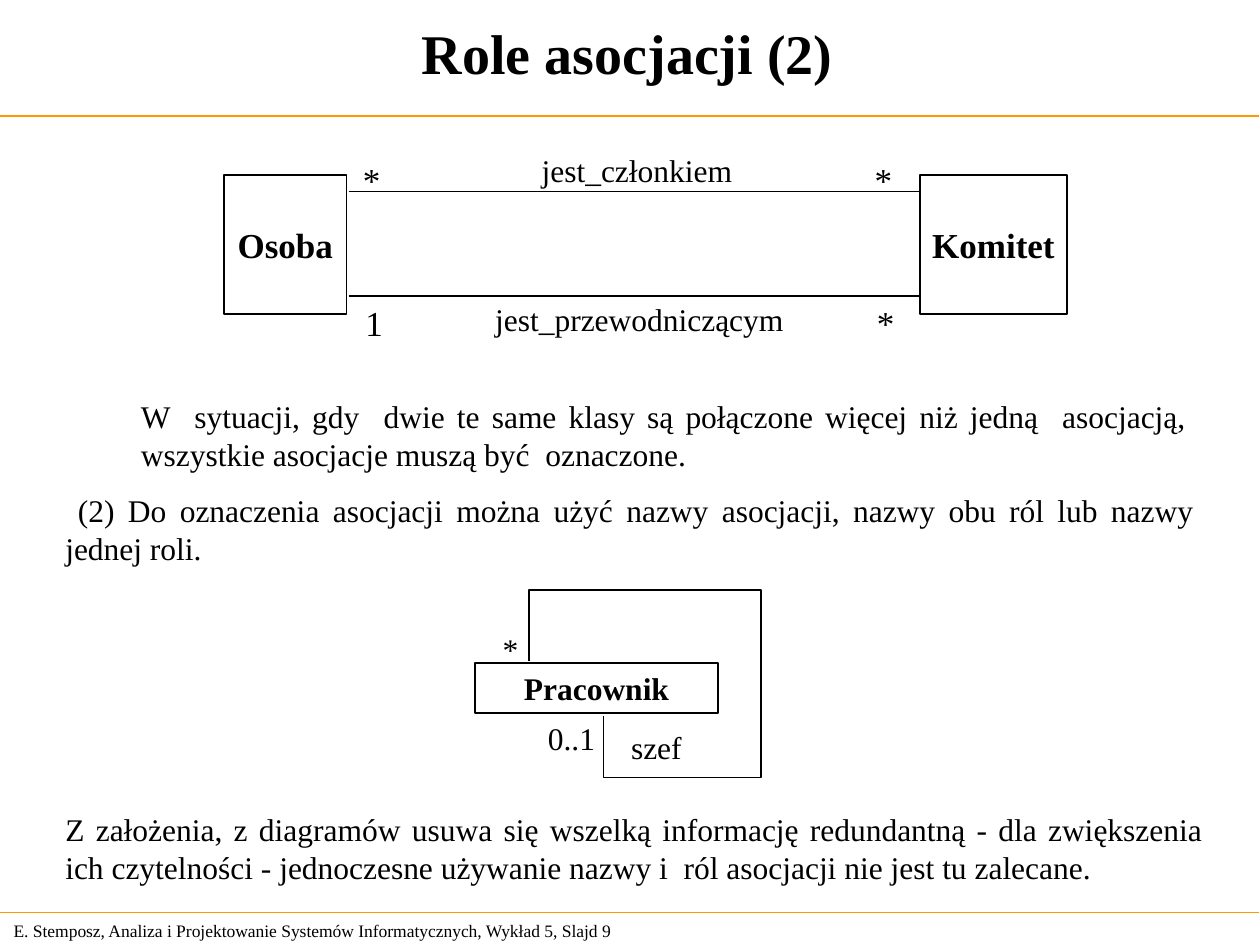
from pptx import Presentation
from pptx.dml.color import RGBColor
from pptx.enum import shapes, text
from pptx.oxml import ns
from pptx.util import Inches, Pt
from lxml import etree

FONT = "Times New Roman"
INK = "000000"
RULE = "FF9900"
LEFT, MID, JUST = (text.PP_ALIGN.LEFT, text.PP_ALIGN.CENTER,
                   text.PP_ALIGN.JUSTIFY)
TOP, CORE = text.MSO_ANCHOR.TOP, text.MSO_ANCHOR.MIDDLE


def tint(code):
    """Turn a hex string into a colour."""
    return RGBColor.from_string(code)


def write(shape, words, size=18, align=MID, bold=False, wrap=False, anchor=TOP):
    """Put one styled paragraph into a shape and return it."""
    frame = shape.text_frame
    frame.word_wrap = wrap
    frame.vertical_anchor = anchor
    para = frame.paragraphs[0]
    para.text = words
    para.alignment = align
    font = para.font
    font.name, font.size, font.bold = FONT, Pt(size), bold
    font.color.rgb = tint(INK)
    return para


def label(slide, x, y, w, h, words, **style):
    """Add a text box."""
    box = slide.shapes.add_textbox(Inches(x), Inches(y), Inches(w), Inches(h))
    return write(box, words, **style)


def block(slide, x, y, w, h, words, size):
    """Add an outlined class box with a bold name."""
    box = slide.shapes.add_shape(shapes.MSO_SHAPE.RECTANGLE, Inches(x),
                                 Inches(y), Inches(w), Inches(h))
    box.shadow.inherit = False
    box.fill.background()
    box.line.color.rgb = tint(INK)
    box.line.width = Pt(1)
    write(box, words, size=size, bold=True, anchor=CORE)


def rule(slide, x, y, w, color=INK, width=1):
    """Add a level line."""
    line = slide.shapes.add_connector(shapes.MSO_CONNECTOR.STRAIGHT, Inches(x),
                                      Inches(y), Inches(x + w), Inches(y))
    line.line.color.rgb = tint(color)
    line.line.width = Pt(width)
    etree.SubElement(line._element.spPr, ns.qn("a:effectLst"))


def frame(slide, title, foot):
    """Add the title, the footer and their rules."""
    label(slide, 0, -0.01, 9.96, 0.85, title, size=32, bold=True, wrap=True,
          anchor=CORE)
    label(slide, 0.01, 7.25, 5.24, 0.27, foot, size=10, align=LEFT,
          anchor=CORE)
    for y in (0.92, 7.24):
        rule(slide, -0.01, y, 10, RULE, 0.75)


def pair(slide, x, y):
    """Add two classes joined by two named associations."""
    block(slide, x, y, 0.97, 1.1, "Osoba", 20)
    block(slide, x + 5.52, y, 1.17, 1.1, "Komitet", 20)
    links = (
        (0.13, "jest_członkiem", 2.37, -0.24, 1.81, "*", 1, -0.18),
        (0.96, "jest_przewodniczącym", 2, 0.94, 2.59, "1", 1.02, 0.95),
    )
    for line, name, left, top, wide, mark, side, row in links:
        rule(slide, x + 0.99, y + line, 4.52)
        label(slide, x + left, y + top, wide, 0.4, name)
        for sign, at in ((mark, side), ("*", side + 4.06)):
            label(slide, x + at, y + row, 0.34, 0.44, sign, size=20)


def loop(slide, x, y):
    """Add a class with an association to itself."""
    block(slide, x, y, 1.93, 0.4, "Pracownik", 18)
    spots = [(0.43, -0.01), (0.43, -0.58), (2.27, -0.58), (2.27, 0.91),
             (1.02, 0.91), (1.02, 0.42)]
    spots = [(Inches(x + a), Inches(y + b)) for a, b in spots]
    path = slide.shapes.build_freeform(*spots[0])
    path.add_line_segments(spots[1:], close=False)
    wire = path.convert_to_shape()
    wire.shadow.inherit = False
    wire.fill.background()
    wire.line.color.rgb = tint(INK)
    wire.line.width = Pt(1)
    label(slide, x + 1.09, y + 0.47, 0.7, 0.4, "szef")
    label(slide, x + 0.12, y - 0.31, 0.36, 0.4, "*", align=LEFT)
    label(slide, x + 0.48, y + 0.4, 0.67, 0.4, "0..1", align=LEFT)


def note(slide, x, y, w, words, indent=0):
    """Add a justified paragraph."""
    para = label(slide, x, y, w, 0.7, words, align=JUST, wrap=True)
    if indent:
        para._p.get_or_add_pPr().set("indent", str(Inches(indent)))


def main():
    """Build the deck."""
    deck = Presentation()
    deck.slide_width, deck.slide_height = Inches(10), Inches(7.5)
    slide = deck.slides.add_slide(deck.slide_layouts[6])
    frame(slide, "Role asocjacji (2)",
          "E. Stemposz, Analiza i Projektowanie Systemów Informatycznych, "
          "Wykład 5, Slajd 9")
    pair(slide, 1.78, 1.39)
    note(slide, 1.02, 3.1, 8.5,
         "W  sytuacji, gdy  dwie te same klasy są połączone więcej niż jedną  "
         "asocjacją, wszystkie asocjacje muszą być  oznaczone.")
    note(slide, 0.42, 3.85, 9.16,
         "(2) Do oznaczenia asocjacji można użyć nazwy asocjacji, nazwy obu "
         "ról lub nazwy jednej roli.", 0.1)
    loop(slide, 3.77, 5.26)
    note(slide, 0.42, 6.38, 9.23,
         "Z założenia, z diagramów usuwa się wszelką informację redundantną - "
         "dla zwiększenia ich czytelności - jednoczesne używanie nazwy i  ról "
         "asocjacji nie jest tu zalecane.")
    deck.save("out.pptx")


if __name__ == "__main__":
    main()
